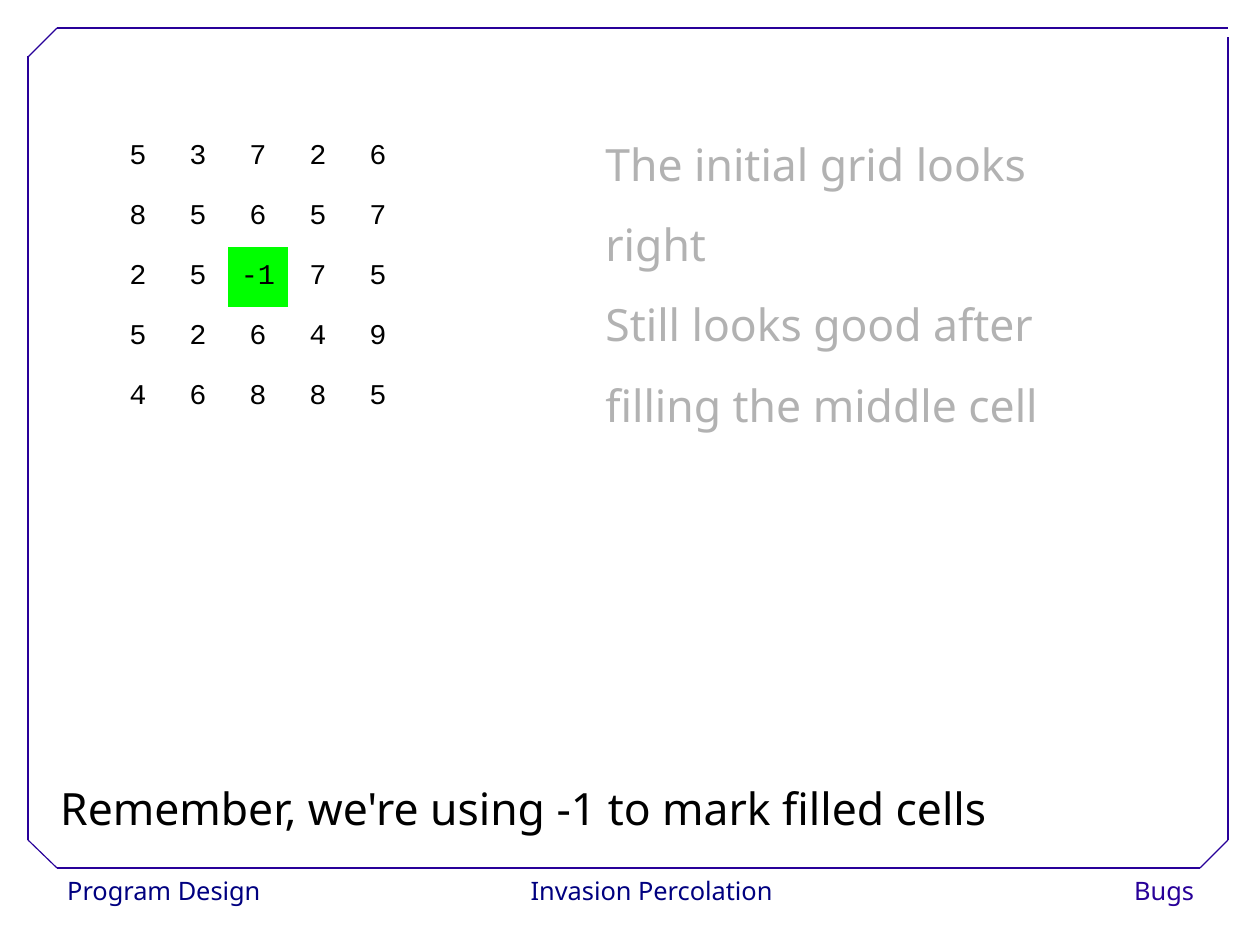
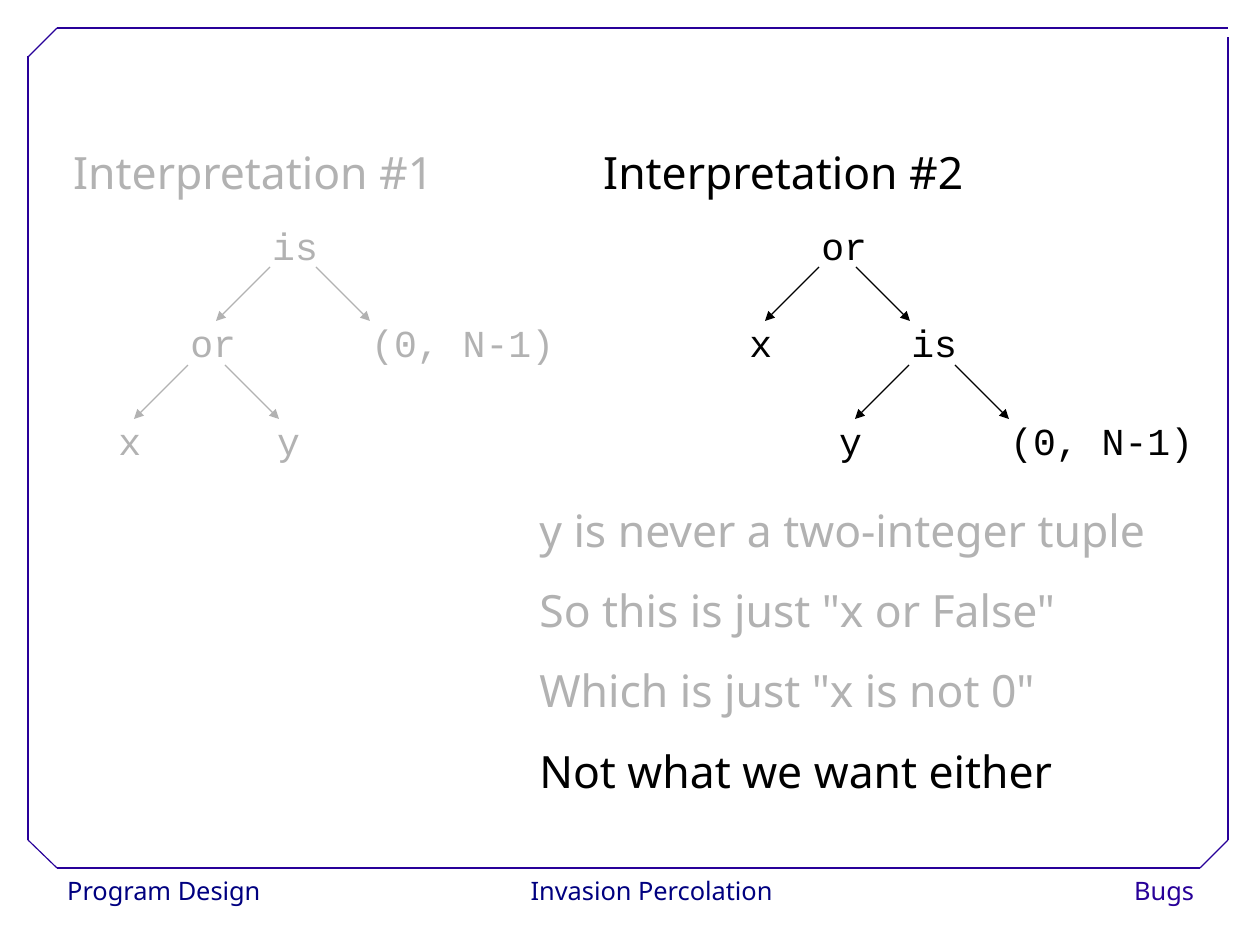
"""Build two slides on debugging an invasion percolation program."""
from lxml import etree
from pptx import Presentation
from pptx.dml.color import RGBColor
from pptx.enum.shapes import MSO_CONNECTOR
from pptx.enum.text import MSO_ANCHOR, MSO_AUTO_SIZE, PP_ALIGN
from pptx.oxml.ns import qn
from pptx.util import Pt

PX = 8000
STRAIGHT = MSO_CONNECTOR.STRAIGHT
MIDDLE = MSO_ANCHOR.MIDDLE
NO_AUTOFIT = MSO_AUTO_SIZE.NONE
LEFT, CENTER, RIGHT = PP_ALIGN.LEFT, PP_ALIGN.CENTER, PP_ALIGN.RIGHT
PLAIN_TABLE = "{2D5ABB26-0587-4C30-8999-92F81FD0307C}"
SANS, MONO = "Noto Sans", "Courier New"
BLACK, GREY, WHITE, GREEN = "000000", "B2B2B2", "FFFFFF", "00FF00"
NAVY, VIOLET = "000080", "280099"
rgb = RGBColor.from_string


def write(frame, lines, size=28, font=SANS, spacing=1.5, align=LEFT):
    """Fill a text frame with (text, colour) lines without bullets."""
    frame.word_wrap = True
    for index, (text, color) in enumerate(lines):
        paragraph = frame.add_paragraph() if index else frame.paragraphs[0]
        paragraph.text = text
        props = paragraph._p.get_or_add_pPr()
        props.set("marL", "0")
        props.set("indent", "0")
        etree.SubElement(props, qn("a:buNone"))
        paragraph.alignment = align
        paragraph.line_spacing = spacing
        paragraph.space_before = Pt(0)
        paragraph.font.size = Pt(size)
        paragraph.font.name = font
        paragraph.font.color.rgb = rgb(color)


def draw_line(slide, ends, color, arrow=False):
    """Draw a thin line, with an arrowhead at its end if asked."""
    line = slide.shapes.add_connector(STRAIGHT, *(value * PX for value in ends))
    line.line.color.rgb = rgb(color)
    line.line.width = Pt(0.75)
    props = line.element.spPr
    if arrow:
        etree.SubElement(props.find(qn("a:ln")), qn("a:tailEnd"), type="triangle")
    etree.SubElement(props, qn("a:effectLst"))
    return line


prs = Presentation()
prs.slide_width, prs.slide_height = 1260 * PX, 945 * PX
layout = prs.slide_layouts[1]
grid_slide, tree_slide = (prs.slides.add_slide(layout) for _ in range(2))

shared = []
for text, color, align, left, width in (
    ("Program Design", NAVY, LEFT, 56, 210),
    ("Invasion Percolation", NAVY, CENTER, 517, 258),
    ("Bugs", VIOLET, RIGHT, 1045, 149),
):
    footer = grid_slide.shapes.add_textbox(left * PX, 869 * PX, width * PX, 46 * PX)
    footer.fill.solid()
    footer.fill.fore_color.rgb = rgb(WHITE)
    footer.text_frame.margin_right = 0
    write(footer.text_frame, [(text, color)], 16, spacing=1.02, align=align)
    shared.append(footer)
for ends in (
    (57, 868, 1200, 868),
    (28, 840, 28, 56),
    (57, 28, 1228, 28),
    (1228, 840, 1228, 37),
    (28, 57, 57, 28),
    (1200, 868, 1228, 840),
    (28, 840, 57, 868),
):
    shared.append(draw_line(grid_slide, ends, VIOLET))
for number, part in enumerate(shared, 100):
    part.element[0][0].set("id", str(number))
    layout.shapes.element.append(part.element)

remarks = (
    (grid_slide, (594, 105, 555, 251), [
        ("The initial grid looks right", GREY),
        ("Still looks good after filling the middle cell", GREY),
    ]),
    (tree_slide, (528, 471, 720, 331), [
        ("y is never a two-integer tuple", GREY),
        ('So this is just "x or False"', GREY),
        ('Which is just "x is not 0"', GREY),
        ("Not what we want either", BLACK),
    ]),
)
for slide, box, lines in remarks:
    title, body = slide.shapes.title, slide.placeholders[1]
    title.element.getparent().remove(title.element)
    body.left, body.top, body.width, body.height = (value * PX for value in box)
    body.text_frame.auto_size = NO_AUTOFIT
    write(body.text_frame, lines)

for slide, text, color, left, top, width in (
    (grid_slide, "Remember, we're using -1 to mark filled cells", BLACK, 49, 749, 1072),
    (tree_slide, "Interpretation #1", GREY, 62, 113, 497),
    (tree_slide, "Interpretation #2", BLACK, 592, 113, 497),
):
    caption = slide.shapes.add_textbox(left * PX, top * PX, width * PX, 91 * PX)
    write(caption.text_frame, [(text, color)])

CELL = 60
grid_values = (
    (5, 3, 7, 2, 6),
    (8, 5, 6, 5, 7),
    (2, 5, -1, 7, 5),
    (5, 2, 6, 4, 9),
    (4, 6, 8, 8, 5),
)
grid = grid_slide.shapes.add_table(
    5, 5, 108 * PX, 127 * PX, 5 * CELL * PX, 5 * CELL * PX)
grid.element.xpath(".//a:tableStyleId")[0].text = PLAIN_TABLE
grid.table.first_row = grid.table.horz_banding = False
for row, values in enumerate(grid_values):
    for column, value in enumerate(values):
        cell = grid.table.cell(row, column)
        cell.vertical_anchor = MIDDLE
        if value == -1:
            cell.fill.solid()
            cell.fill.fore_color.rgb = rgb(GREEN)
        else:
            cell.fill.background()
        write(cell.text_frame, [(str(value), BLACK)], 18, MONO, 1.02, CENTER)

LEVEL_TOPS = (205, 302, 400)
BRANCH_TOPS = (267, 365)
BRANCH = 54
BRANCH_STARTS = {"is": (9, 55), "or": (9, 46)}
WORD_WIDTHS = {1: 40, 2: 60, 8: 200}
trees = (
    (GREY, (("is", 261, 0), ("or", 179, 1), ("(0, N-1)", 360, 1),
            ("x", 107, 2), ("y", 266, 2))),
    (BLACK, (("or", 810, 0), ("x", 738, 1), ("is", 900, 1),
             ("y", 828, 2), ("(0, N-1)", 999, 2))),
)
for color, nodes in trees:
    for word, left, level in nodes:
        node = tree_slide.shapes.add_textbox(
            left * PX, LEVEL_TOPS[level] * PX, WORD_WIDTHS[len(word)] * PX, 63 * PX)
        node.text_frame.margin_right = 0
        write(node.text_frame, [(word, color)], 24, MONO, 1.25)
        for start, step in zip(BRANCH_STARTS.get(word, ()), (-BRANCH, BRANCH)):
            x, y = left + start, BRANCH_TOPS[level]
            draw_line(tree_slide, (x, y, x + step, y + BRANCH), color, arrow=True)

prs.save("out.pptx")
